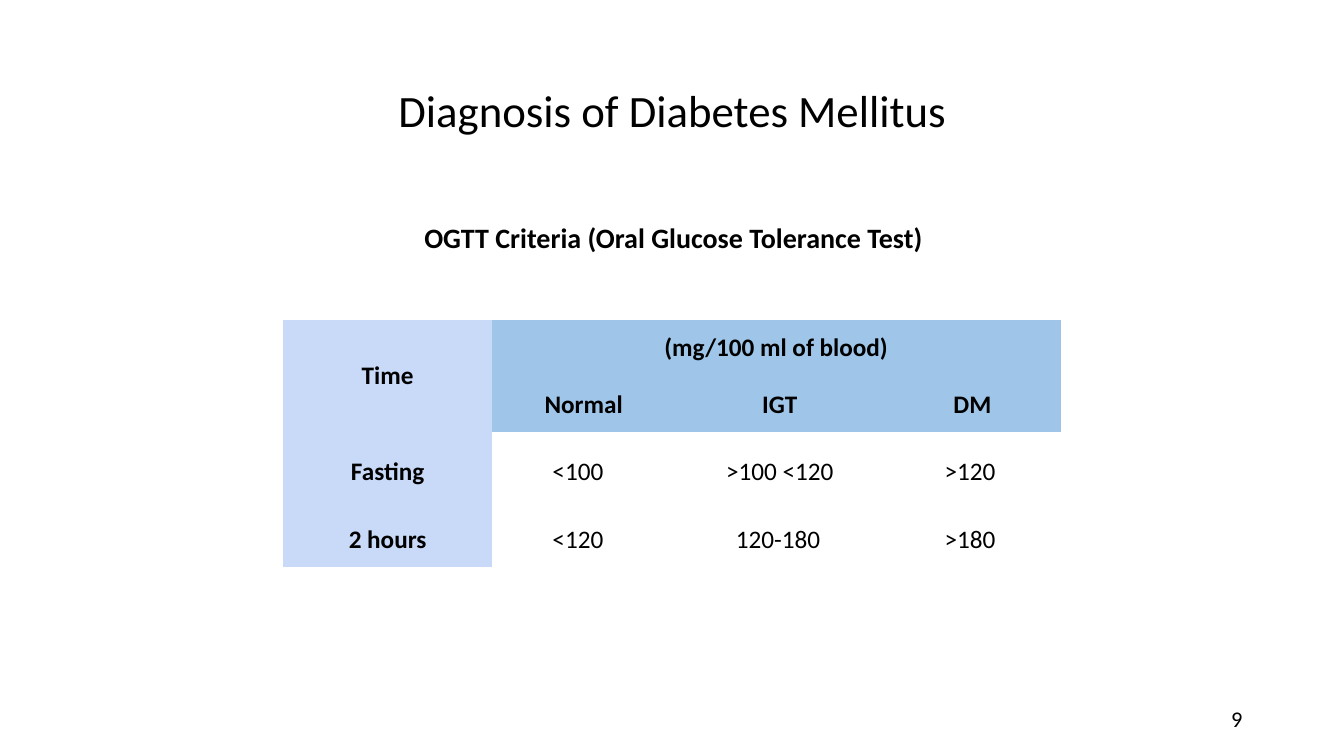
from pptx import Presentation
from pptx.dml.color import RGBColor
from pptx.enum.text import MSO_ANCHOR as Anchor, PP_ALIGN as Align
from pptx.oxml.ns import qn
from pptx.util import Inches, Pt

BLACK = RGBColor(0x00, 0x00, 0x00)
WHITE = RGBColor(0xFF, 0xFF, 0xFF)
PALE_BLUE = RGBColor(0xC9, 0xDA, 0xF8)
MID_BLUE = RGBColor(0x9F, 0xC5, 0xE8)
NO_STYLE = "{2D5ABB26-0587-4C30-8999-92F81FD0307C}"
HANGING = (0.3, -0.3)
INDENTED = (0.5, 0)


class SlideBuilder:
    font = "Calibri"

    def __init__(self, prs):
        self.s = prs.slides.add_slide(prs.slide_layouts[5])

    def add_run(self, tf, text, size, bold=False, align=Align.CENTER,
                indent=None, spacing=None):
        p = tf.paragraphs[0]
        p.alignment = align
        if spacing:
            p.line_spacing = spacing
        if indent:
            pPr = p._p.get_or_add_pPr()
            pPr.set("marL", str(Inches(indent[0])))
            pPr.set("indent", str(Inches(indent[1])))
        r = p.add_run()
        r.text = text
        r.font.name, r.font.size, r.font.bold = self.font, Pt(size), bold
        r.font.color.rgb = BLACK

    def title(self, text, left, top, width, height):
        sp = self.s.shapes.title
        sp.left, sp.top = Inches(left), Inches(top)
        sp.width, sp.height = Inches(width), Inches(height)
        sp.text_frame.vertical_anchor = Anchor.MIDDLE
        self.add_run(sp.text_frame, text, 32, spacing=0.9)

    def text(self, text, left, top, width, height, size, **style):
        sp = self.s.shapes.add_textbox(Inches(left), Inches(top),
                                       Inches(width), Inches(height))
        sp.text_frame.word_wrap = True
        self.add_run(sp.text_frame, text, size, **style)

    def table(self, left, top, widths, heights):
        frame = self.s.shapes.add_table(
            len(heights), len(widths), Inches(left), Inches(top),
            Inches(sum(widths)), Inches(sum(heights)))
        frame.element.find(".//" + qn("a:tableStyleId")).text = NO_STYLE
        table = frame.table
        table.first_row = table.horz_banding = False
        for col, width in zip(table.columns, widths):
            col.width = Inches(width)
        for row, height in zip(table.rows, heights):
            row.height = Inches(height)
        return table

    def cell(self, cell, text, fill, **style):
        cell.vertical_anchor = Anchor.MIDDLE
        cell.fill.solid()
        cell.fill.fore_color.rgb = fill
        if text:
            self.add_run(cell.text_frame, text, 18, **style)


def main():
    prs = Presentation()
    prs.slide_width, prs.slide_height = Inches(13.33), Inches(7.5)
    slide = SlideBuilder(prs)

    # Headings
    slide.title("Diagnosis of Diabetes Mellitus", 2.13, 0.4, 9.08, 1.45)
    slide.text("OGTT Criteria (Oral Glucose Tolerance Test)",
               1.26, 2.18, 10.84, 4.51, 20, bold=True,
               indent=HANGING, spacing=0.9)

    # Glucose criteria
    rows = [
        ["Time", "(mg/100 ml of blood)", "", ""],
        ["", "Normal", "IGT", "DM"],
        ["Fasting", "<100", ">100 <120", ">120"],
        ["2 hours", "<120", "120-180", ">180"],
    ]
    table = slide.table(2.81, 3.17, [2.07, 1.82, 2.07, 1.75],
                        [0.57, 0.55, 0.79, 0.55])
    table.cell(0, 0).merge(table.cell(1, 0))
    table.cell(0, 1).merge(table.cell(0, 3))
    for i, row in enumerate(rows):
        for j, text in enumerate(row):
            header = i < 2 or j == 0
            fill = PALE_BLUE if j == 0 else MID_BLUE if header else WHITE
            style = {"bold": header}
            if (i, j) == (0, 1):
                style["indent"] = HANGING
            elif not header and text != ">100 <120":
                style["align"] = Align.LEFT
                style["indent"] = INDENTED
            slide.cell(table.cell(i, j), text, fill, **style)

    # Page number
    slide.text("9", 9.42, 6.95, 3, 0.4, 16, align=Align.RIGHT)

    prs.save("out.pptx")


if __name__ == "__main__":
    main()
